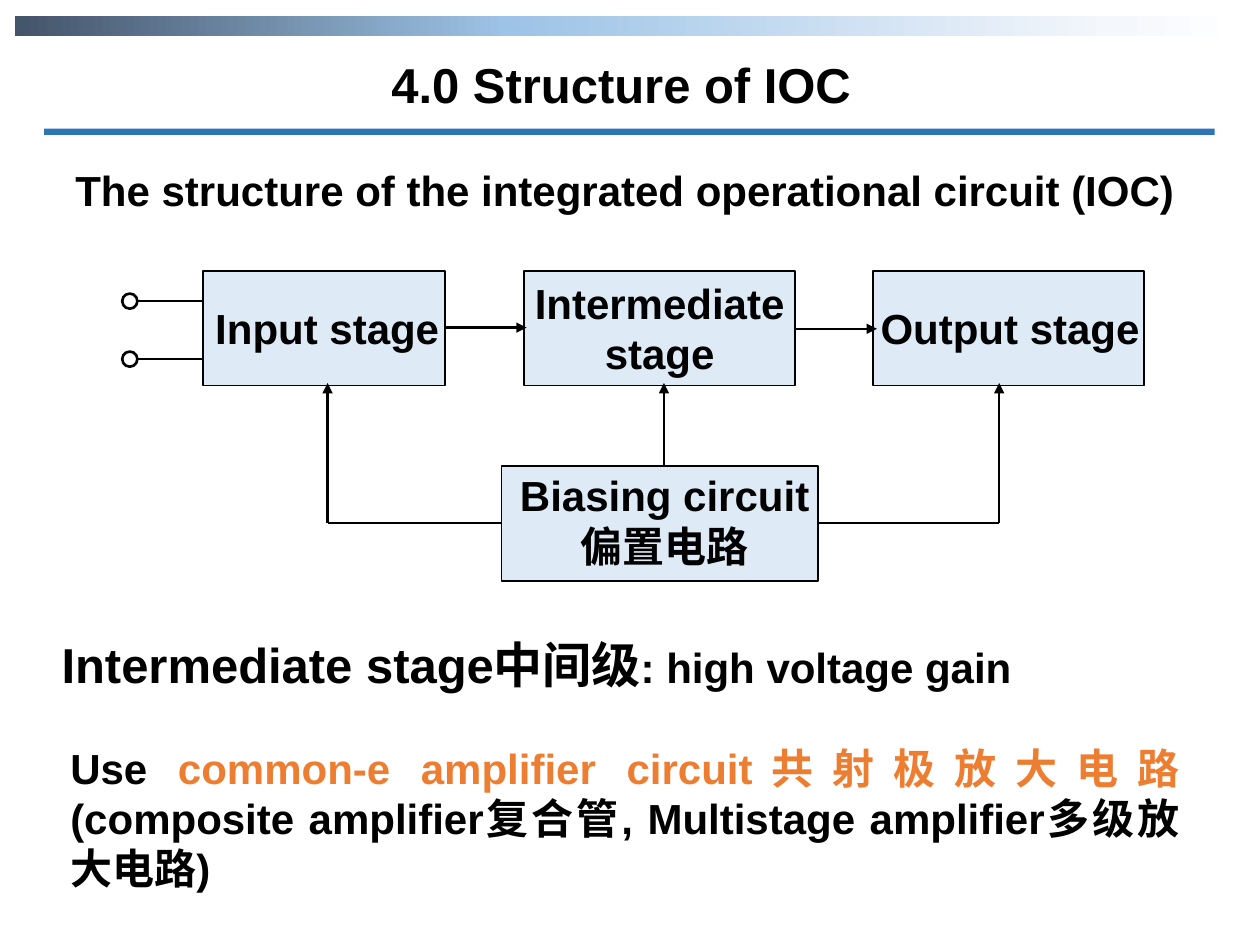
import pptx
import pptx.dml.color
import pptx.enum.dml
import pptx.enum.shapes
import pptx.enum.text
import pptx.oxml
import pptx.oxml.ns
import pptx.util
import lxml.etree

RGB = pptx.dml.color.RGBColor
SHAPE = pptx.enum.shapes.MSO_SHAPE
ALIGN = pptx.enum.text.PP_ALIGN
qn = pptx.oxml.ns.qn

BLACK = RGB(0x00, 0x00, 0x00)
WHITE = RGB(0xFF, 0xFF, 0xFF)
BLUE = RGB(0x2E, 0x75, 0xB6)
PALE_BLUE = RGB(0xDE, 0xEB, 0xF7)
ORANGE = RGB(0xED, 0x7D, 0x31)
BANNER = [(0, RGB(0x44, 0x54, 0x6A)), (40, RGB(0x9D, 0xC3, 0xE6)),
          (89, RGB(0xF4, 0xF7, 0xFC)), (100, WHITE)]

COLUMNS, ROWS = 10, 7.5


class Deck:
    """Style and current slide; lengths are columns and rows of the grid."""

    font, cjk_font = "Arial", "Noto Sans CJK SC"
    size, heading_size = 24, 28

    def __init__(self):
        self.prs = pptx.Presentation()
        self.prs.slide_width = pptx.util.Inches(10)
        self.prs.slide_height = pptx.util.Inches(7.5)
        self.slide = self.prs.slides.add_slide(self.prs.slide_layouts[6])

    def x(self, columns):
        return round(self.prs.slide_width * columns / COLUMNS)

    def y(self, rows):
        return round(self.prs.slide_height * rows / ROWS)

    def frame(self, left, top, width, height):
        return self.x(left), self.y(top), self.x(width), self.y(height)

    def shape(self, frame, fill, line=None, kind=SHAPE.RECTANGLE):
        sp = self.slide.shapes.add_shape(kind, *self.frame(*frame))
        sp.shadow.inherit = False
        sp.fill.solid()
        sp.fill.fore_color.rgb = fill
        if line:
            sp.line.color.rgb = BLACK
            sp.line.width = pptx.util.Pt(line)
        else:
            sp.line.fill.background()
        return sp

    def gradient(self, frame, stops):
        sp = self.shape(frame, WHITE)
        sp.fill.gradient()
        sp.fill.gradient_angle = 0
        stop_list = next(sp.fill._xPr.iter(qn("a:gsLst")))
        for old in list(stop_list):
            stop_list.remove(old)
        for percent, color in stops:
            gs = lxml.etree.SubElement(stop_list, qn("a:gs"), pos=str(percent * 1000))
            lxml.etree.SubElement(gs, qn("a:srgbClr"), val=str(color))

    def text(self, frame, paragraphs, align=ALIGN.CENTER):
        """Each paragraph is a list of runs: (text, size, color)."""
        tf = self.slide.shapes.add_textbox(*self.frame(*frame)).text_frame
        tf.word_wrap = True
        tf.auto_size = pptx.enum.text.MSO_AUTO_SIZE.SHAPE_TO_FIT_TEXT
        for i, runs in enumerate(paragraphs):
            p = tf.add_paragraph() if i else tf.paragraphs[0]
            p.alignment = align
            for text, size, color in runs:
                r = p.add_run()
                r.text = text
                r.font.name = self.font
                r.font.size = pptx.util.Pt(size)
                r.font.bold = True
                r.font.color.rgb = color
                latin = r.font._element.find(qn("a:latin"))
                ea = pptx.oxml.parse_xml(
                    '<a:ea xmlns:a="http://schemas.openxmlformats.org/drawingml/2006/main"'
                    f' typeface="{self.cjk_font}"/>')
                latin.addnext(ea)

    def line(self, start, end, arrow=False):
        cx = self.slide.shapes.add_connector(
            pptx.enum.shapes.MSO_CONNECTOR.STRAIGHT,
            self.x(start[0]), self.y(start[1]), self.x(end[0]), self.y(end[1]))
        cx.line.color.rgb = BLACK
        cx.line.width = pptx.util.Pt(1.5)
        if arrow:
            lxml.etree.SubElement(cx.line._get_or_add_ln(), qn("a:tailEnd"), type="triangle")
        lxml.etree.SubElement(cx._element.spPr, qn("a:effectLst"))


def main():
    s = Deck()

    # Banner, title and rule
    s.gradient((0.12, 0.13, 9.76, 0.16), BANNER)
    s.text((0.53, 0.38, 8.8, 0.57), [[("4.0 Structure of IOC", s.heading_size, BLACK)]])
    s.shape((0.35, 1.02, 9.29, 0.05), BLUE)
    s.text((0.46, 1.26, 9, 0.5),
           [[("The structure of the integrated operational circuit (IOC)", s.size, BLACK)]])

    # Stages: box left, top, width; label frame; label lines; alignment
    box_height, stage_top, bias_top = 0.91, 2.15, 3.7
    blocks = [
        (1.61, stage_top, 1.92, (1.61, 2.35, 2.15, 0.5), ["Input stage"], ALIGN.LEFT),
        (4.16, stage_top, 2.15, (3.98, 2.15, 2.51, 0.88), ["Intermediate stage"], ALIGN.CENTER),
        (6.93, stage_top, 2.15, (6.89, 2.35, 2.32, 0.5), ["Output stage"], ALIGN.LEFT),
        (3.98, bias_top, 2.51, (4.02, 3.68, 2.51, 0.88),
         ["Biasing circuit", "偏置电路"], ALIGN.CENTER),
    ]
    for left, top, width, label_frame, lines, align in blocks:
        s.shape((left, top, width, box_height), PALE_BLUE, line=1)
        s.text(label_frame, [[(line, s.size, BLACK)] for line in lines], align)

    # Signal arrows from stage to stage
    for left, row in ((3.53, 2.6), (6.31, 2.61)):
        s.line((left, row), (left + 0.65, row), arrow=True)

    # Bias arrows up to each stage, with side branches
    bias_row, stage_bottom = 4.15, 3.04
    s.line((5.27, bias_top), (5.27, stage_bottom), arrow=True)
    for edge, column in ((3.98, 2.6), (6.49, 7.93)):
        s.line((edge, bias_row), (column, bias_row))
        s.line((column, bias_row), (column, stage_bottom), arrow=True)

    # Input terminals
    for row in (2.39, 2.85):
        s.line((1.61, row), (1.03, row))
        s.shape((0.97, row - 0.06, 0.12, 0.12), WHITE, line=1.5, kind=SHAPE.OVAL)

    # Explanation of the intermediate stage
    s.text((0.39, 4.99, 9, 0.57),
           [[("Intermediate stage", s.heading_size, BLACK),
             ("中间级", s.heading_size, BLACK),
             (": high voltage gain", s.size, BLACK)]], ALIGN.JUSTIFY)
    s.text((0.46, 5.84, 9, 1.27),
           [[("Use ", s.size, BLACK),
             ("common-e amplifier circuit共射极放大电路", s.size, ORANGE),
             (" (composite amplifier复合管, Multistage amplifier多级放大电路)", s.size, BLACK)]],
           ALIGN.JUSTIFY)

    s.prs.save("out.pptx")


if __name__ == "__main__":
    main()
